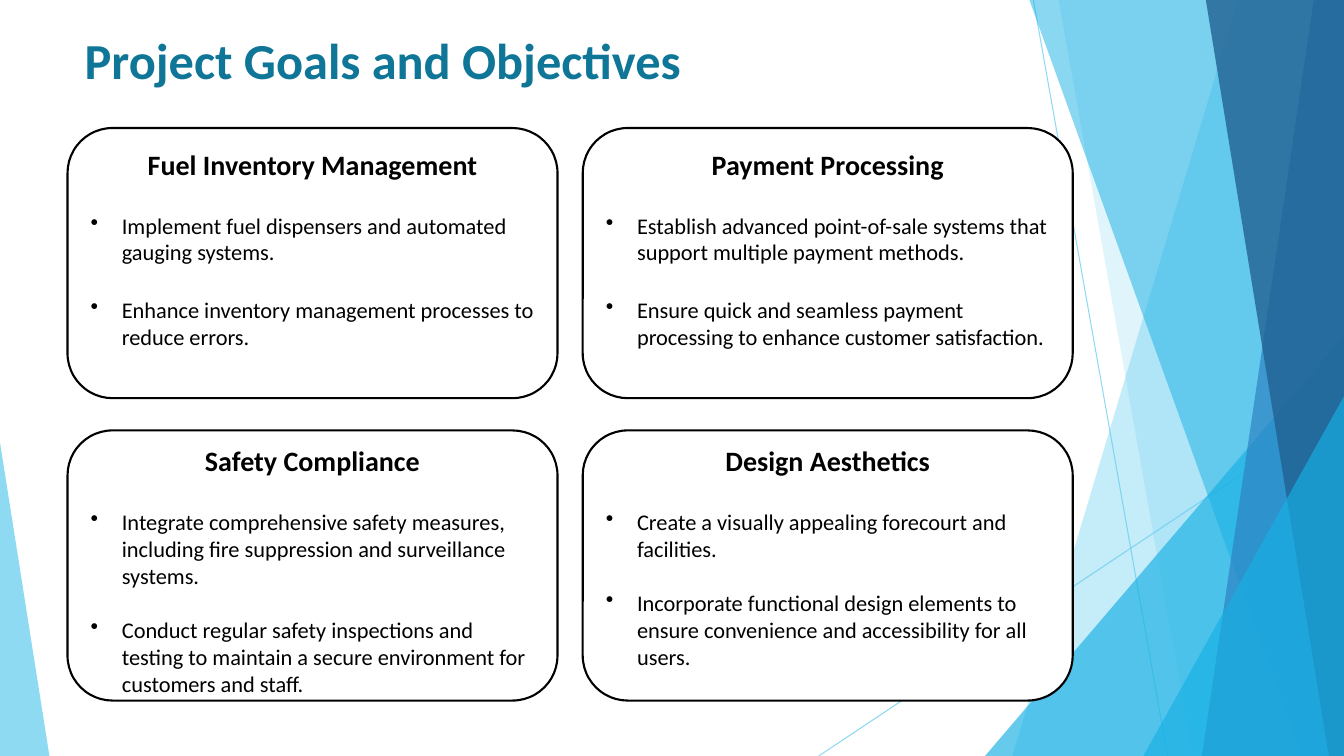
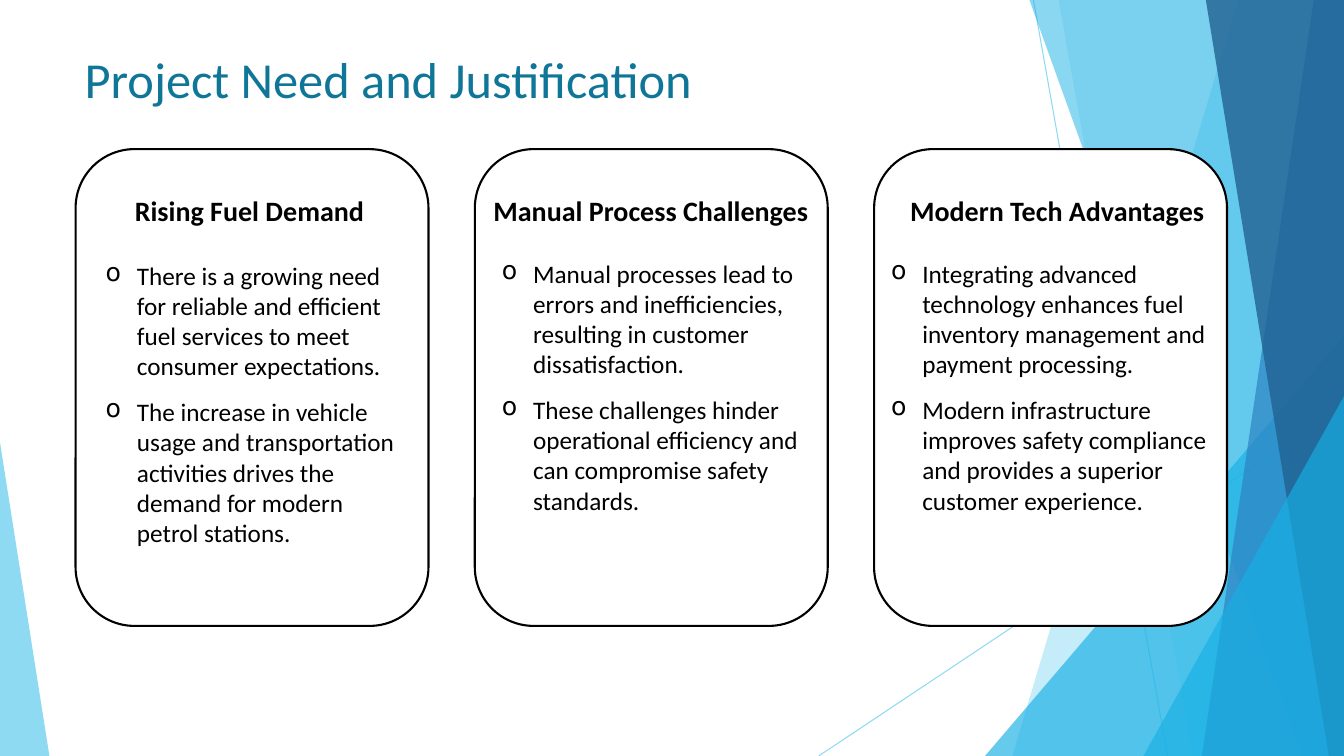
"""Build two slides about the goals and the need of a fuel station project."""
from dataclasses import dataclass

from lxml import etree
from pptx import Presentation
from pptx.dml.color import RGBColor
from pptx.enum import shapes, text
from pptx.oxml import ns
from pptx.util import Inches, Pt


@dataclass(frozen=True)
class Theme:
    """Hold the colours, font and sizes that the slides share."""
    width: float = 13.33
    height: float = 7.5
    font: str = "Calibri"
    title: str = "0F7698"
    ink: str = "000000"
    paper: str = "FFFFFF"
    sky: str = "5FCBEF"
    azure: str = "17B0E4"
    blue: str = "2E83C3"
    navy: str = "226292"
    title_size: int = 36
    heading_size: int = 20
    list_size: int = 18
    goal_size: int = 16
    outline: float = 1.5
    hairline: float = 0.75
    indent: float = 0.31


@dataclass(frozen=True)
class Goal:
    """Describe one card of the goals grid."""
    heading: str
    points: tuple
    inset: float = 0
    gap: float = 22


@dataclass(frozen=True)
class Need:
    """Describe one column, with its text boxes relative to the card."""
    heading: str
    points: tuple
    heading_box: tuple
    list_box: tuple


THEME = Theme()

GOALS = (
    Goal("Fuel Inventory Management",
         ("Implement fuel dispensers and automated gauging systems.",
          "Enhance inventory management processes to reduce errors."), inset=0.06),
    Goal("Payment Processing",
         ("Establish advanced point-of-sale systems that support multiple payment methods.",
          "Ensure quick and seamless payment processing to enhance customer satisfaction."),
         inset=0.06),
    Goal("Safety Compliance",
         ("Integrate comprehensive safety measures, including fire suppression and "
          "surveillance systems.",
          "Conduct regular safety inspections and testing to maintain a secure environment "
          "for customers and staff."), gap=19.5),
    Goal("Design Aesthetics",
         ("Create a visually appealing forecourt and facilities.",
          "Incorporate functional design elements to ensure convenience and accessibility "
          "for all users."), gap=19.5),
)

NEEDS = (
    Need("Rising Fuel Demand",
         ("There is a growing need for reliable and efficient fuel services to meet "
          "consumer expectations.",
          "The increase in vehicle usage and transportation activities drives the demand "
          "for modern petrol stations."),
         (0.34, 0.39, 2.77, 0.44), (0.2, 1.05, 3.09, 2.98)),
    Need("Manual Process Challenges",
         ("Manual processes lead to errors and inefficiencies, resulting in customer "
          "dissatisfaction.",
          "These challenges hinder operational efficiency and can compromise safety "
          "standards."),
         (0.04, 0.39, 3.41, 0.44), (0.17, 1.03, 3.14, 2.68)),
    Need("Modern Tech Advantages",
         ("Integrating advanced technology enhances fuel inventory management and payment "
          "processing.",
          "Modern infrastructure improves safety compliance and provides a superior "
          "customer experience."),
         (0.11, 0.39, 3.41, 0.44), (0.07, 1.03, 3.36, 2.68)),
)


def rgb(code):
    """Return the colour for a hex code."""
    return RGBColor.from_string(code)


def fade(shape, opacity):
    """Set the opacity, in percent, of a shape's own colours."""
    for colour in shape.element.iter(ns.qn("a:srgbClr")):
        etree.SubElement(colour, ns.qn("a:alpha"), val=str(opacity * 1000))


def paint(shape, colour, opacity):
    """Give a shape a clear fill without outline or shadow."""
    shape.shadow.inherit = False
    shape.fill.solid()
    shape.fill.fore_color.rgb = rgb(colour)
    shape.line.fill.background()
    fade(shape, opacity)


def add_ray(group, start, end):
    """Draw a thin line of the backdrop."""
    ray = group.shapes.add_connector(
        shapes.MSO_CONNECTOR.STRAIGHT, *map(Inches, start + end))
    ray.line.color.rgb = rgb(THEME.sky)
    ray.line.width = Pt(THEME.hairline)
    etree.SubElement(ray.element.spPr, ns.qn("a:effectLst"))
    fade(ray, 70)


def add_band(group, top_x, foot_x, colour, opacity):
    """Draw a full-height band from a slanted edge to the right side."""
    outline = group.shapes.build_freeform(Inches(top_x), 0, scale=1.0)
    corners = ((THEME.width, 0), (THEME.width, THEME.height), (foot_x, THEME.height))
    outline.add_line_segments([(Inches(x), Inches(y)) for x, y in corners], close=True)
    paint(outline.convert_to_shape(), colour, opacity)


def add_wedge(group, left, top, width, apex, colour, opacity):
    """Draw a triangle that stands on the lower edge."""
    wedge = group.shapes.add_shape(
        shapes.MSO_SHAPE.ISOSCELES_TRIANGLE,
        *map(Inches, (left, top, width, THEME.height - top)))
    wedge.adjustments[0] = apex
    paint(wedge, colour, opacity)


def add_backdrop(page):
    """Draw the facets once and move them to the page's layout."""
    group = page.shapes.add_group_shape()
    add_ray(group, (10.25, 0), (11.58, THEME.height))
    add_ray(group, (THEME.width, 4.03), (8.12, THEME.height))
    add_band(group, 12.28, 10.04, THEME.sky, 36)
    add_band(group, 10.5, 11.83, THEME.sky, 20)
    add_wedge(group, 9.77, 3.33, 3.56, 1, THEME.azure, 66)
    add_band(group, 10.21, 12.91, THEME.azure, 50)
    add_band(group, 13.03, 11.92, THEME.blue, 70)
    add_band(group, 11.96, 13.18, THEME.navy, 80)
    add_wedge(group, 11.34, 3.93, 1.99, 1, THEME.azure, 66)
    add_wedge(group, 0, 4.39, 0.49, 0, THEME.sky, 70)
    page.slide_layout.shapes.element.insert(2, group.element)


def style(para, size, colour, bold=False, align=text.PP_ALIGN.LEFT):
    """Set the font and alignment of a paragraph."""
    para.font.name = THEME.font
    para.font.size = Pt(size)
    para.font.bold = bold
    para.font.color.rgb = rgb(colour)
    para.alignment = align


def set_title(page, words, box, bold=False):
    """Place and format the title placeholder."""
    title = page.shapes.title
    title.left, title.top, title.width, title.height = map(Inches, box)
    frame = title.text_frame
    frame.text = words
    frame.word_wrap = True
    frame.auto_size = text.MSO_AUTO_SIZE.NONE
    frame.vertical_anchor = text.MSO_ANCHOR.TOP
    style(frame.paragraphs[0], THEME.title_size, THEME.title, bold)


def write_heading(frame, words):
    """Write a centred bold heading in the first paragraph."""
    para = frame.paragraphs[0]
    para.text = words
    style(para, THEME.heading_size, THEME.ink, True, text.PP_ALIGN.CENTER)


def write_bullet(para, words, size, mark, before):
    """Write one bulleted paragraph with a hanging indent."""
    para.text = words
    style(para, size, THEME.ink)
    para.space_before = Pt(before)
    settings = para._p.get_or_add_pPr()
    settings.set("marL", str(Inches(THEME.indent)))
    settings.set("indent", str(-Inches(THEME.indent)))
    etree.SubElement(settings, ns.qn("a:buChar"), char=mark)


def add_card(page, box):
    """Draw a white rounded card with a black outline."""
    card = page.shapes.add_shape(shapes.MSO_SHAPE.ROUNDED_RECTANGLE, *map(Inches, box))
    card.shadow.inherit = False
    card.fill.solid()
    card.fill.fore_color.rgb = rgb(THEME.paper)
    card.line.color.rgb = rgb(THEME.ink)
    card.line.width = Pt(THEME.outline)
    return card


def add_text_box(page, box):
    """Add a wrapping text box and return its frame."""
    frame = page.shapes.add_textbox(*map(Inches, box)).text_frame
    frame.word_wrap = True
    return frame


def add_goal(page, goal, box):
    """Fill a card with a heading and its bulleted goals."""
    frame = add_card(page, box).text_frame
    frame.word_wrap = True
    frame.vertical_anchor = text.MSO_ANCHOR.TOP
    frame.margin_top = Inches(goal.inset)
    frame.margin_bottom = 0
    write_heading(frame, goal.heading)
    for words, before in zip(goal.points, (22, goal.gap)):
        write_bullet(frame.add_paragraph(), words, THEME.goal_size, "•", before)


def add_need(page, need, box):
    """Draw a card with a heading box and a list box over it."""
    left, top = box[:2]
    add_card(page, box)
    heading, listing = (
        add_text_box(page, (left + x, top + y, width, height))
        for x, y, width, height in (need.heading_box, need.list_box))
    write_heading(heading, need.heading)
    for index, words in enumerate(need.points):
        para = listing.add_paragraph() if index else listing.paragraphs[0]
        write_bullet(para, words, THEME.list_size, "o", 11 * index)


def build_goals(page):
    """Lay out the goals in a grid of two by two."""
    set_title(page, "Project Goals and Objectives", (0.74, 0.24, 9.4, 1.02), bold=True)
    for index, goal in enumerate(GOALS):
        row, column = divmod(index, 2)
        add_goal(page, goal, (0.67 + 5.11 * column, 1.27 + 3 * row, 4.86, 2.68))


def build_needs(page):
    """Lay out the needs in three columns."""
    set_title(page, "Project Need and Justification", (0.74, 0.43, 9.4, 0.86))
    for column, need in enumerate(NEEDS):
        add_need(page, need, (0.75 + 3.96 * column, 1.48, 3.5, 4.73))


def add_page(deck):
    """Add a title-only slide without empty placeholders."""
    page = deck.slides.add_slide(deck.slide_layouts[5])
    for holder in list(page.placeholders):
        if holder.placeholder_format.idx:
            holder.element.getparent().remove(holder.element)
    return page


def main():
    """Build and save the deck."""
    deck = Presentation()
    deck.slide_width = Inches(THEME.width)
    deck.slide_height = Inches(THEME.height)
    goals, needs = add_page(deck), add_page(deck)
    add_backdrop(goals)
    build_goals(goals)
    build_needs(needs)
    deck.save("out.pptx")


if __name__ == "__main__":
    main()
